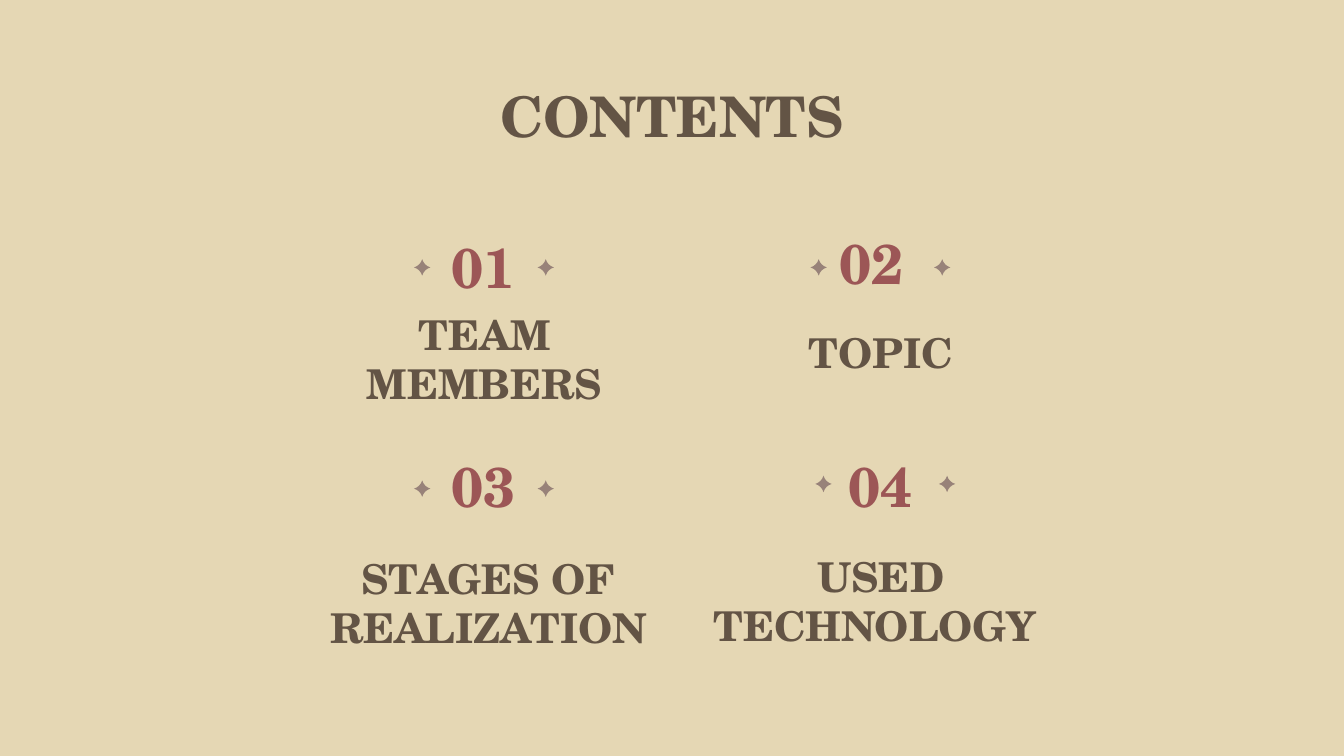
from lxml import etree
from pptx import Presentation
from pptx.dml.color import RGBColor
from pptx.enum.text import MSO_ANCHOR, PP_ALIGN
from pptx.oxml.ns import qn
from pptx.util import Pt

TOP, MIDDLE = MSO_ANCHOR.TOP, MSO_ANCHOR.MIDDLE
CENTER = PP_ALIGN.CENTER
SAND = RGBColor(0xE5, 0xD7, 0xB4)
BROWN = RGBColor(0x63, 0x54, 0x45)
RED = RGBColor(0x9C, 0x56, 0x56)
TAUPE = RGBColor(0x98, 0x82, 0x79)
FONT = "TeX Gyre Schola"
INSET = Pt(7.2)
STAR_RADIUS, STAR_GAP = Pt(4.4), 66.2
STAR_TIPS = [(0, -1), (-1, 0), (0, 1), (1, 0)]
LABEL_SIZE, NUMBER_SIZE = (196.6, 27.4), (84.2, 31)

ENTRIES = [
    ("01", "TEAM MEMBERS", (217, 127), (161.3, 178.3), (226.2, 143.3)),
    ("02", "TOPIC", (424.8, 124.9), (373.7, 175), (438.6, 143.3)),
    ("03", "STAGES OF REALIZATION", (217, 244.4), (163.4, 309.2), (226.2, 261.8)),
    ("04", "USED TECHNOLOGY ", (429.8, 244.4), (373.6, 308.2), (441.2, 259.3)),
]


def add_text(s, text, pos, size, font_size, color, anchor=MIDDLE):
    box = s.shapes.add_textbox(*map(Pt, pos + size))
    tf = box.text_frame
    tf.word_wrap = True
    tf.vertical_anchor = anchor
    tf.margin_left = tf.margin_right = tf.margin_top = tf.margin_bottom = INSET
    p = tf.paragraphs[0]
    p.text = text
    p.alignment = CENTER
    p.font.name = FONT
    p.font.size = Pt(font_size)
    p.font.bold = True
    p.font.color.rgb = color


def curve_sides(star):
    sides = list(star._element.iter(qn("a:lnTo")))
    for i, side in enumerate(sides):
        start, end = STAR_TIPS[i], STAR_TIPS[(i + 1) % 4]
        side.tag = qn("a:cubicBezTo")
        for j, (a, b) in enumerate([(0.5, 0.15), (0.15, 0.5)]):
            x, y = (round(STAR_RADIUS * (1 + a * u + b * v))
                    for u, v in zip(start, end))
            side.insert(j, etree.Element(qn("a:pt"), x=str(x), y=str(y)))


def add_star(shapes, cx, cy):
    points = [(Pt(cx) + STAR_RADIUS * x, Pt(cy) + STAR_RADIUS * y)
              for x, y in STAR_TIPS]
    builder = shapes.build_freeform(*points[0])
    builder.add_line_segments(points[1:] + points[:1], close=True)
    star = builder.convert_to_shape()
    curve_sides(star)
    star.shadow.inherit = False
    star.fill.solid()
    star.fill.fore_color.rgb = TAUPE
    star.line.fill.background()


def add_star_pair(s, cx, cy):
    group = s.shapes.add_group_shape()
    for x in (cx, cx + STAR_GAP):
        add_star(group.shapes, x, cy)


def main():
    """Build the contents slide and save it."""
    prs = Presentation()
    prs.slide_width, prs.slide_height = Pt(720), Pt(405)
    s = prs.slides.add_slide(prs.slide_layouts[6])
    s.background.fill.solid()
    s.background.fill.fore_color.rgb = SAND
    add_text(s, "CONTENTS", (56.6, 36.7), (607, 45.4), 30, BROWN, TOP)
    for number, label, number_pos, label_pos, star_pos in ENTRIES:
        add_text(s, label, label_pos, LABEL_SIZE, 22, BROWN)
        add_text(s, number, number_pos, NUMBER_SIZE, 30, RED)
        add_star_pair(s, *star_pos)
    prs.save("out.pptx")


if __name__ == "__main__":
    main()
